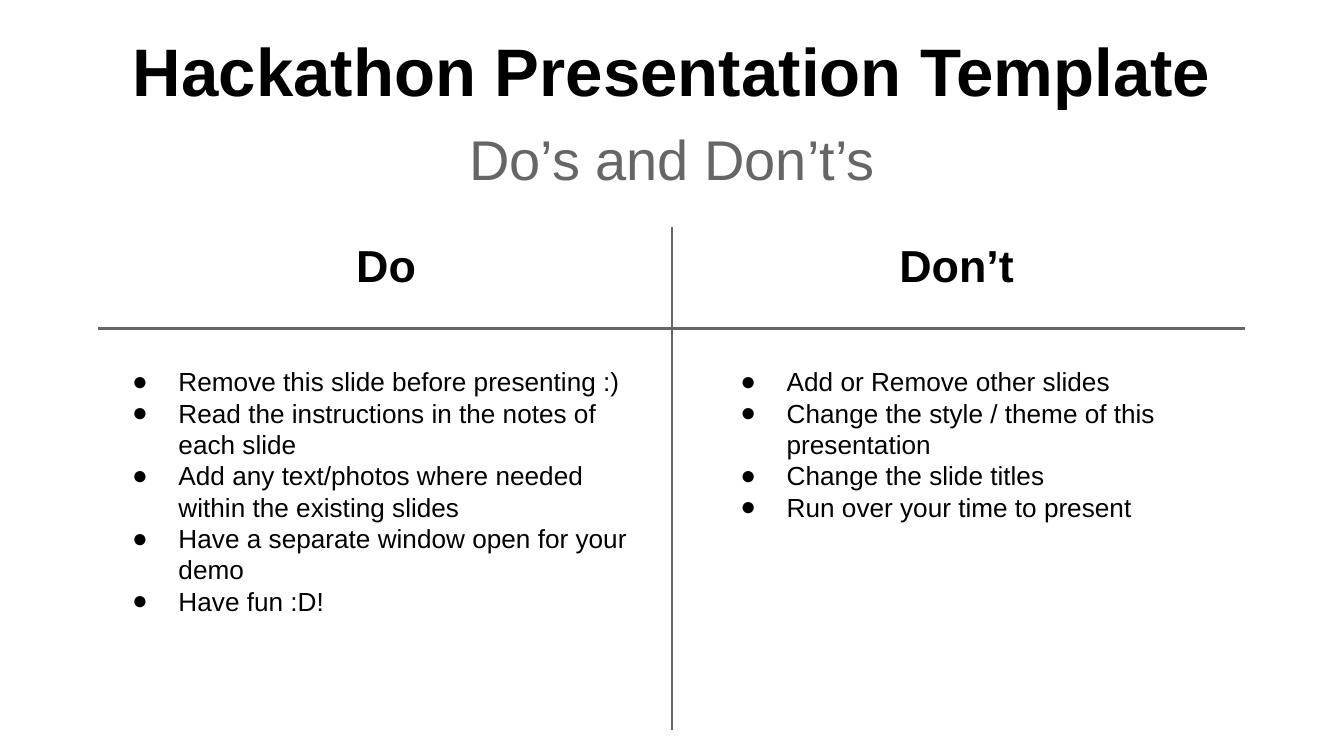
import dataclasses

import lxml.etree
import pptx
import pptx.dml.color
import pptx.enum.shapes
import pptx.enum.text
import pptx.oxml.ns
import pptx.util

ALIGN = pptx.enum.text.PP_ALIGN
ANCHOR = pptx.enum.text.MSO_ANCHOR
SCALE = 4572


@dataclasses.dataclass(frozen=True)
class Theme:
    """Colours, font and type sizes of the slide."""
    font: str = "Arial"
    ink: str = "000000"
    grey: str = "666666"
    paper: str = "FFFFFF"
    title: int = 36
    sub: int = 30
    head: int = 24
    body: int = 14
    rule: float = 1.5


THEME = Theme()
DO = (
    "Remove this slide before presenting :)",
    "Read the instructions in the notes of each slide",
    "Add any text/photos where needed within the existing slides",
    "Have a separate window open for your demo",
    "Have fun :D!",
)
DONT = (
    "Add or Remove other slides",
    "Change the style / theme of this presentation",
    "Change the slide titles",
    "Run over your time to present",
)


def px(num):
    """Turn px into EMU."""
    return pptx.util.Emu(num * SCALE)


def tint(code):
    """Turn a hex code into a colour."""
    return pptx.dml.color.RGBColor.from_string(code)


def add_frame(slide, area, anchor):
    """Add a wrapping text box and return its frame."""
    frame = slide.shapes.add_textbox(*map(px, area)).text_frame
    frame.word_wrap = True
    frame.vertical_anchor = anchor
    frame.margin_left = frame.margin_right = px(20)
    frame.margin_top = frame.margin_bottom = px(20)
    return frame


def add_run(para, text, size, color, bold=False):
    """Add one styled run to a paragraph."""
    run = para.add_run()
    run.text = text
    font = run.font
    font.name = THEME.font
    font.size = pptx.util.Pt(size)
    font.bold = bold
    font.color.rgb = tint(color)


def add_head(slide, area, text, size):
    """Add a bold centred heading that sits on the box bottom."""
    para = add_frame(slide, area, ANCHOR.BOTTOM).paragraphs[0]
    para.alignment = ALIGN.CENTER
    add_run(para, text, size, THEME.ink, True)


def add_sub(slide, area, text):
    """Add the grey centred subtitle."""
    para = add_frame(slide, area, ANCHOR.TOP).paragraphs[0]
    para.alignment = ALIGN.CENTER
    add_run(para, text, THEME.sub, THEME.grey)


def set_bullet(para):
    """Give a paragraph a hanging round bullet."""
    props = para._p.get_or_add_pPr()
    props.set("marL", str(px(100)))
    props.set("indent", str(px(-69)))
    qn = pptx.oxml.ns.qn
    color = lxml.etree.SubElement(props, qn("a:buClr"))
    lxml.etree.SubElement(color, qn("a:srgbClr"), val=THEME.ink)
    lxml.etree.SubElement(props, qn("a:buFont"), typeface=THEME.font)
    lxml.etree.SubElement(props, qn("a:buChar"), char="●")


def add_list(slide, area, items):
    """Add a bulleted list."""
    frame = add_frame(slide, area, ANCHOR.TOP)
    for spot, item in enumerate(items):
        para = frame.add_paragraph() if spot else frame.paragraphs[0]
        para.alignment = ALIGN.LEFT
        set_bullet(para)
        add_run(para, item, THEME.body, THEME.ink)


def add_rule(slide, ends):
    """Add a straight grey line."""
    kind = pptx.enum.shapes.MSO_CONNECTOR.STRAIGHT
    rule = slide.shapes.add_connector(kind, *map(px, ends))
    rule.line.color.rgb = tint(THEME.grey)
    rule.line.width = pptx.util.Pt(THEME.rule)
    qn = pptx.oxml.ns.qn
    lxml.etree.SubElement(rule._element.spPr, qn("a:effectLst"))


def main():
    """Build and save the slide."""
    deck = pptx.Presentation()
    deck.slide_width, deck.slide_height = px(2000), px(1125)
    slide = deck.slides.add_slide(deck.slide_layouts[6])
    fill = slide.background.fill
    fill.solid()
    fill.fore_color.rgb = tint(THEME.paper)

    add_head(slide, (150, 38, 1700, 146),
             "Hackathon Presentation Template", THEME.title)
    add_sub(slide, (150, 166, 1700, 172), "Do’s and Don’t’s")
    for spot, text in enumerate(("Do", "Don’t")):
        add_head(slide, (150 + 849 * spot, 308, 849, 146), text, THEME.head)
    add_rule(slide, (1000, 338, 1000, 1086))
    add_rule(slide, (146, 489, 1852, 489))
    add_list(slide, (1051, 524, 802, 562), DONT)
    add_list(slide, (146, 524, 828, 562), DO)
    deck.save("out.pptx")


if __name__ == "__main__":
    main()
